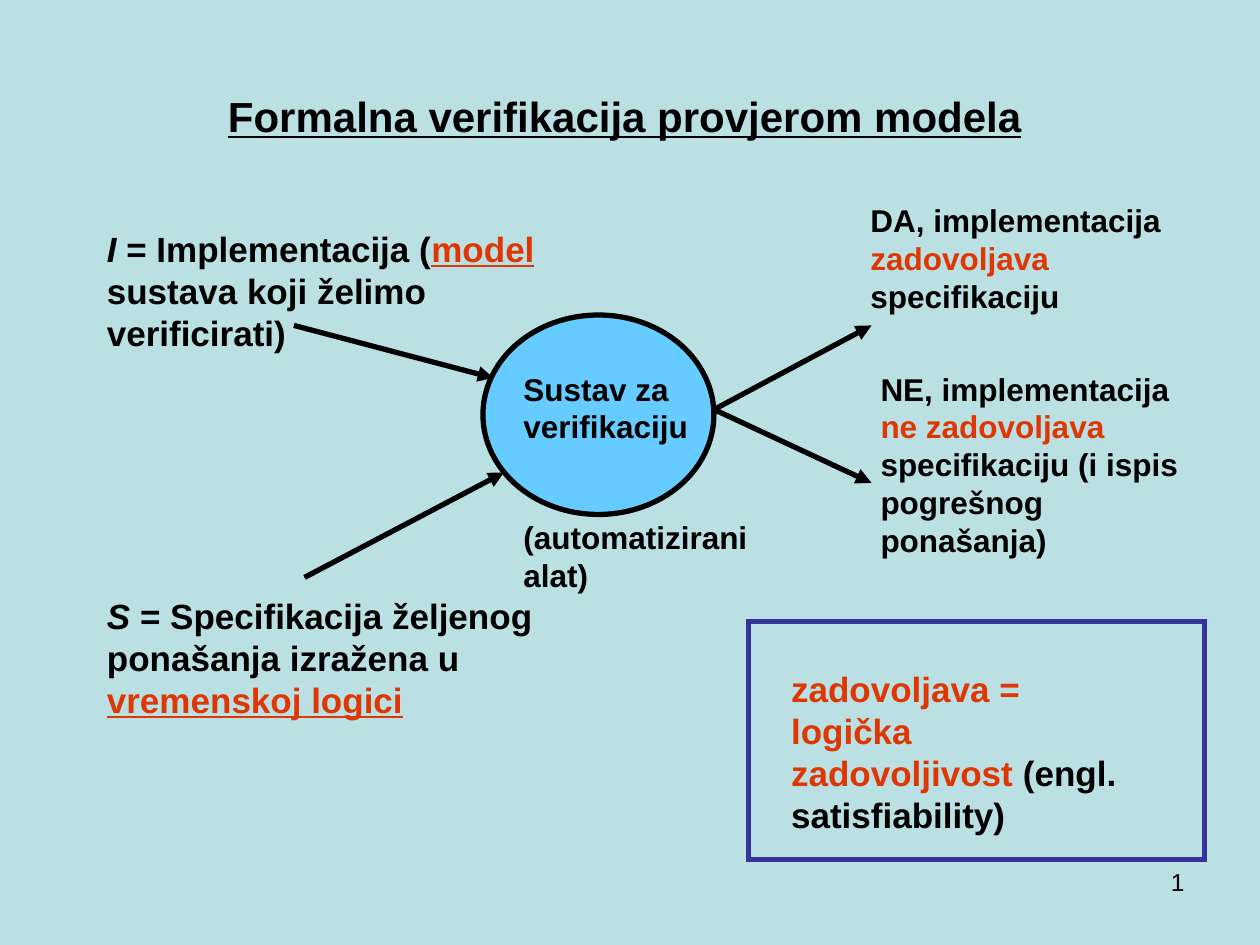
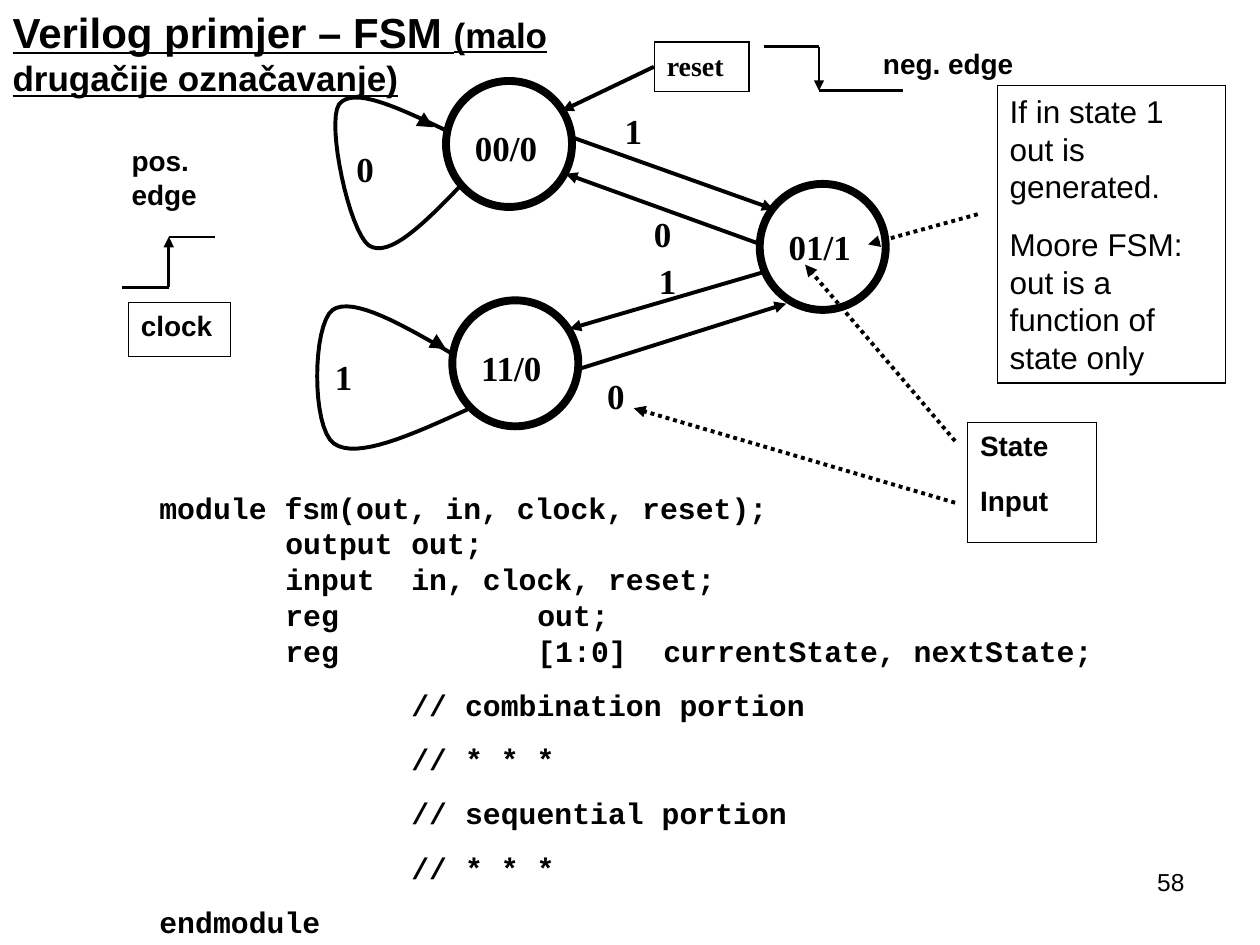
from dataclasses import dataclass
from typing import NamedTuple, Optional

from lxml.etree import SubElement
from pptx import Presentation
from pptx.dml.color import RGBColor
from pptx.enum.dml import MSO_LINE
from pptx.enum.shapes import MSO_CONNECTOR, MSO_SHAPE
from pptx.enum.text import MSO_ANCHOR, MSO_AUTO_SIZE, PP_ALIGN
from pptx.oxml.ns import qn
from pptx.util import Inches, Pt

SLIDE_WIDTH, SLIDE_HEIGHT = Inches(10), Inches(7.5)
COLUMNS, ROWS = 100, 75
CURVE_STEPS = 16
TAB_COUNT = 7


@dataclass(frozen=True)
class Theme:
    ink: str = "000000"
    accent: str = "DF3703"
    frame: str = "333399"
    system: str = "66CCFF"
    paper: str = "FFFFFF"
    tint: str = "BBE0E3"
    sans: str = "Arial"
    serif: str = "Times New Roman"
    mono: str = "Courier New"
    title: int = 24
    large: int = 20
    medium: int = 18
    small: int = 16
    code: int = 17
    number: int = 14


THEME = Theme()


class Span(NamedTuple):
    text: str
    color: str = THEME.ink
    underline: bool = False
    italic: bool = False
    size: Optional[float] = None


class Box(NamedTuple):
    """A place in grid columns and rows."""
    left: float
    top: float
    width: float
    height: float


class Point(NamedTuple):
    column: float
    row: float


class Line(NamedTuple):
    start: Point
    end: Point
    width: float
    arrow: bool = True
    dotted: bool = False


@dataclass(frozen=True)
class Text:
    box: Box
    paragraphs: tuple[tuple[Span, ...], ...]
    size: float = THEME.medium
    font: str = THEME.sans
    bold: bool = True
    gap: float = 0
    first_gap: int = 1
    align: PP_ALIGN = PP_ALIGN.LEFT
    outlined: bool = False


def x(column: float) -> int:
    return round(SLIDE_WIDTH * column / COLUMNS)


def y(row: float) -> int:
    return round(SLIDE_HEIGHT * row / ROWS)


def place(box: Box) -> tuple[int, int, int, int]:
    return x(box.left), y(box.top), x(box.width), y(box.height)


def rgb(color: str) -> RGBColor:
    return RGBColor.from_string(color)


def plain(*lines: str) -> tuple[tuple[Span, ...], ...]:
    """One unstyled span for each paragraph."""
    return tuple((Span(line),) for line in lines)


def style_shape(shape, width: float, line: str = THEME.ink, fill: Optional[str] = None) -> None:
    shape.shadow.inherit = False
    shape.line.color.rgb = rgb(line)
    shape.line.width = Pt(width)
    SubElement(shape.element.spPr.find(qn("a:ln")), qn("a:miter"), lim="800000")
    if fill:
        shape.fill.solid()
        shape.fill.fore_color.rgb = rgb(fill)
    else:
        shape.fill.background()


def add_tab_stops(paragraph) -> None:
    """Left tab stops one inch apart."""
    tabs = SubElement(paragraph._p.get_or_add_pPr(), qn("a:tabLst"))
    for inch in range(1, TAB_COUNT + 1):
        SubElement(tabs, qn("a:tab"), pos=str(Inches(inch)), algn="l")


def write(shape, text: Text) -> None:
    frame = shape.text_frame
    frame.word_wrap = True
    frame.auto_size = MSO_AUTO_SIZE.NONE
    frame.vertical_anchor = MSO_ANCHOR.TOP
    for index, spans in enumerate(text.paragraphs):
        paragraph = frame.add_paragraph() if index else frame.paragraphs[0]
        paragraph.alignment = text.align
        paragraph.space_before = Pt(text.gap if index >= text.first_gap else 0)
        if any("\t" in span.text for span in spans):
            add_tab_stops(paragraph)
        for span in spans:
            run = paragraph.add_run()
            run.text = span.text
            run.font.name = text.font
            run.font.size = Pt(span.size or text.size)
            run.font.bold = text.bold
            run.font.italic = span.italic
            run.font.underline = span.underline
            run.font.color.rgb = rgb(span.color)


def draw_text(slide, text: Text) -> None:
    if text.outlined:
        shape = slide.shapes.add_shape(MSO_SHAPE.RECTANGLE, *place(text.box))
        style_shape(shape, 0.75, fill=THEME.paper)
    else:
        shape = slide.shapes.add_textbox(*place(text.box))
    write(shape, text)


def draw_shape(slide, kind: MSO_SHAPE, box: Box, width: float,
               line: str = THEME.ink, fill: Optional[str] = None) -> None:
    style_shape(slide.shapes.add_shape(kind, *place(box)), width, line, fill)


def draw_line(slide, line: Line) -> None:
    connector = slide.shapes.add_connector(
        MSO_CONNECTOR.STRAIGHT, x(line.start.column), y(line.start.row),
        x(line.end.column), y(line.end.row))
    connector.line.color.rgb = rgb(THEME.ink)
    connector.line.width = Pt(line.width)
    if line.dotted:
        connector.line.dash_style = MSO_LINE.ROUND_DOT
    properties = connector.element.spPr
    if line.arrow:
        SubElement(properties.find(qn("a:ln")), qn("a:tailEnd"), type="triangle")
    SubElement(properties, qn("a:effectLst"))


def curve_points(points: list[Point]) -> list[tuple[int, int]]:
    """Sample a chain of cubic curves that share their end points."""
    sampled = [(x(points[0].column), y(points[0].row))]
    for first in range(0, len(points) - 1, 3):
        controls = points[first:first + 4]
        for step in range(1, CURVE_STEPS + 1):
            t = step / CURVE_STEPS
            weights = ((1 - t) ** 3, 3 * t * (1 - t) ** 2, 3 * t * t * (1 - t), t ** 3)
            sampled.append((
                x(sum(w * point.column for w, point in zip(weights, controls))),
                y(sum(w * point.row for w, point in zip(weights, controls)))))
    return sampled


def draw_curve(slide, points: list[Point]) -> None:
    start, *rest = curve_points(points)
    builder = slide.shapes.build_freeform(*start)
    builder.add_line_segments(rest, close=False)
    style_shape(builder.convert_to_shape(), 2.25)


def add_slide(presentation, background: str, title: Text, number: str):
    slide = presentation.slides.add_slide(presentation.slide_layouts[5])
    slide.background.fill.solid()
    slide.background.fill.fore_color.rgb = rgb(background)
    heading = slide.shapes.title
    heading.left, heading.top, heading.width, heading.height = place(title.box)
    write(heading, title)
    draw_text(slide, Text(Box(71.7, 68.3, 23.3, 5.2), plain(number), THEME.number,
                          bold=False, align=PP_ALIGN.RIGHT))
    return slide


def build_verification_slide(presentation) -> None:
    title = Text(Box(5, 6.7, 89.17, 5),
                 ((Span("Formalna verifikacija provjerom modela", underline=True),),),
                 THEME.title, align=PP_ALIGN.CENTER)
    slide = add_slide(presentation, THEME.tint, title, "1")
    draw_shape(slide, MSO_SHAPE.OVAL, Box(38.33, 25, 18.33, 15.83), 3, fill=THEME.system)

    result = Point(56.67, 32.5)
    for start, end in (
        (Point(24.17, 45.83), Point(40, 37.5)),
        (Point(23.33, 25.83), Point(39.17, 30)),
        (result, Point(69.17, 25.83)),
        (result, Point(69.17, 38.33)),
    ):
        draw_line(slide, Line(start, end, 3))

    accent = THEME.accent
    for text in (
        Text(Box(7.5, 17.53, 41.7, 11), ((
            Span("I", italic=True), Span(" = Implementacija ("),
            Span("model", accent, underline=True),
            Span(" sustava koji želimo verificirati)")),), THEME.large),
        Text(Box(7.5, 46.67, 42.5, 11), ((
            Span("S", italic=True), Span(" = Specifikacija željenog ponašanja izražena u "),
            Span("vremenskoj logici", accent, underline=True)),), THEME.large),
        Text(Box(40.56, 28.84, 15.7, 7), plain("Sustav za verifikaciju")),
        Text(Box(40.56, 40.63, 20.5, 7), plain("(automatizirani alat)")),
        Text(Box(68.1, 15.5, 25.7, 10), ((
            Span("DA, implementacija "), Span("zadovoljava", accent),
            Span(" specifikaciju")),)),
        Text(Box(68.9, 28.84, 27.6, 16), ((
            Span("NE, implementacija "), Span("ne zadovoljava ", accent),
            Span("specifikaciju (i ispis pogrešnog ponašanja)")),)),
        Text(Box(61.8, 52.5, 29.9, 14.4), ((
            Span("zadovoljava = logička zadovoljivost", accent),
            Span(" (engl. satisfiability)")),), THEME.large),
    ):
        draw_text(slide, text)
    draw_shape(slide, MSO_SHAPE.RECTANGLE, Box(59.4, 49.3, 36.2, 18.9), 3, THEME.frame)


def draw_clock_edges(slide) -> None:
    falling = (Point(60.6, 3.7), Point(65, 3.7), Point(65, 7.2), Point(71.7, 7.2))
    rising = (Point(9.7, 22.8), Point(13.4, 22.8), Point(13.4, 18.8), Point(17.1, 18.8))
    for corners in (falling, rising):
        for index, (start, end) in enumerate(zip(corners, corners[1:])):
            draw_line(slide, Line(start, end, 1.5, arrow=index == 1))


def draw_state_machine(slide) -> None:
    for name, left, top, label_drop in (
        ("00/0", 35.4, 6.43, 3.1), ("11/0", 35.9, 23.84, 3.15), ("01/1", 60.3, 14.6, 2.8),
    ):
        draw_text(slide, Text(Box(left + 1.3, top + label_drop, 7.8, 5.5), plain(name),
                              THEME.large, THEME.serif))
        draw_shape(slide, MSO_SHAPE.OVAL, Box(left, top, 10, 10), 4.5)

    for value, left, top in (
        ("1", 48.6, 8.2), ("0", 50.9, 16.4), ("1", 51.3, 20.1),
        ("0", 47.2, 29.2), ("0", 27.3, 11.2), ("1", 25.6, 27.7),
    ):
        draw_text(slide, Text(Box(left, top, 4.9, 4.7), plain(value),
                              THEME.large, THEME.serif))

    for start, end in (
        (Point(45.4, 10.9), Point(61.4, 16.6)),
        (Point(60.4, 19.4), Point(44.9, 13.8)),
        (Point(60.6, 21.6), Point(45.2, 26.1)),
        (Point(45.9, 29.3), Point(62.4, 24.1)),
        (Point(51.9, 5.3), Point(44.6, 8.8)),
    ):
        draw_line(slide, Line(start, end, 2.25))

    lower_loop = [Point(37.1, 32.5), Point(32.7, 34.5), Point(28.3, 36.5), Point(26.5, 35.2),
                  Point(24.7, 33.9), Point(24.8, 25.8), Point(26.4, 24.6),
                  Point(28, 23.5), Point(32, 25.8), Point(36.1, 28.2)]
    upper_loop = [Point(36.5, 14.8), Point(33.7, 17.7), Point(30.9, 20.5), Point(29.3, 19.5),
                  Point(27.7, 18.4), Point(25.9, 9.8), Point(26.9, 8.3),
                  Point(28, 6.8), Point(31.7, 8.6), Point(35.5, 10.4)]
    for loop, tip in ((lower_loop, Point(35.4, 27.7)), (upper_loop, Point(34.4, 10.1))):
        draw_curve(slide, loop)
        draw_line(slide, Line(Point(tip.column - 1, tip.row - 0.6), tip, 3))


def build_fsm_slide(presentation) -> None:
    title = Text(Box(0, 0, 47.6, 8.4), ((
        Span("Verilog primjer – FSM ", underline=True),
        Span("(malo drugačije označavanje)", underline=True, size=THEME.large)),), THEME.title)
    slide = add_slide(presentation, THEME.paper, title, "58")
    code = plain(
        "module fsm(out, in, clock, reset);", "\toutput\tout;", "\tinput\tin, clock, reset;",
        "\treg\t\tout;", "\treg\t\t[1:0]\tcurrentState, nextState;",
        "\t\t// combination portion", "\t\t// * * *",
        "\t\t// sequential portion", "\t\t// * * *", "endmodule",
    )
    draw_text(slide, Text(Box(11.67, 38.35, 76.7, 36.8), code, THEME.code, THEME.mono,
                          gap=10.6, first_gap=5))
    draw_clock_edges(slide)
    draw_state_machine(slide)

    for text in (
        Text(Box(76.8, 33.55, 10.2, 9.5), plain("State", "Input"), THEME.small,
             gap=12, outlined=True),
        Text(Box(69.1, 3.24, 13.6, 4.7), plain("neg. edge"), THEME.small),
        Text(Box(9.47, 10.9, 8.4, 6.9), plain("pos. edge"), THEME.small),
        Text(Box(10.2, 24, 8.1, 4.3), plain("clock"), THEME.small, outlined=True),
        Text(Box(51.94, 3.34, 7.5, 3.9), plain("reset"), THEME.small, THEME.serif,
             outlined=True),
        Text(Box(79.14, 6.8, 18.1, 23.6),
             plain("If in state 1 out is generated.", "Moore FSM: out is a function of state only"),
             bold=False, gap=11.2, outlined=True),
    ):
        draw_text(slide, text)

    for start, end in (
        (Point(77.6, 17), Point(68.9, 19.4)),
        (Point(75.8, 35), Point(63.9, 21)),
        (Point(75.8, 39.9), Point(50.3, 32.4)),
    ):
        draw_line(slide, Line(start, end, 2.25, dotted=True))


def main() -> None:
    presentation = Presentation()
    presentation.slide_width, presentation.slide_height = SLIDE_WIDTH, SLIDE_HEIGHT
    build_verification_slide(presentation)
    build_fsm_slide(presentation)
    presentation.save("out.pptx")


if __name__ == "__main__":
    main()
